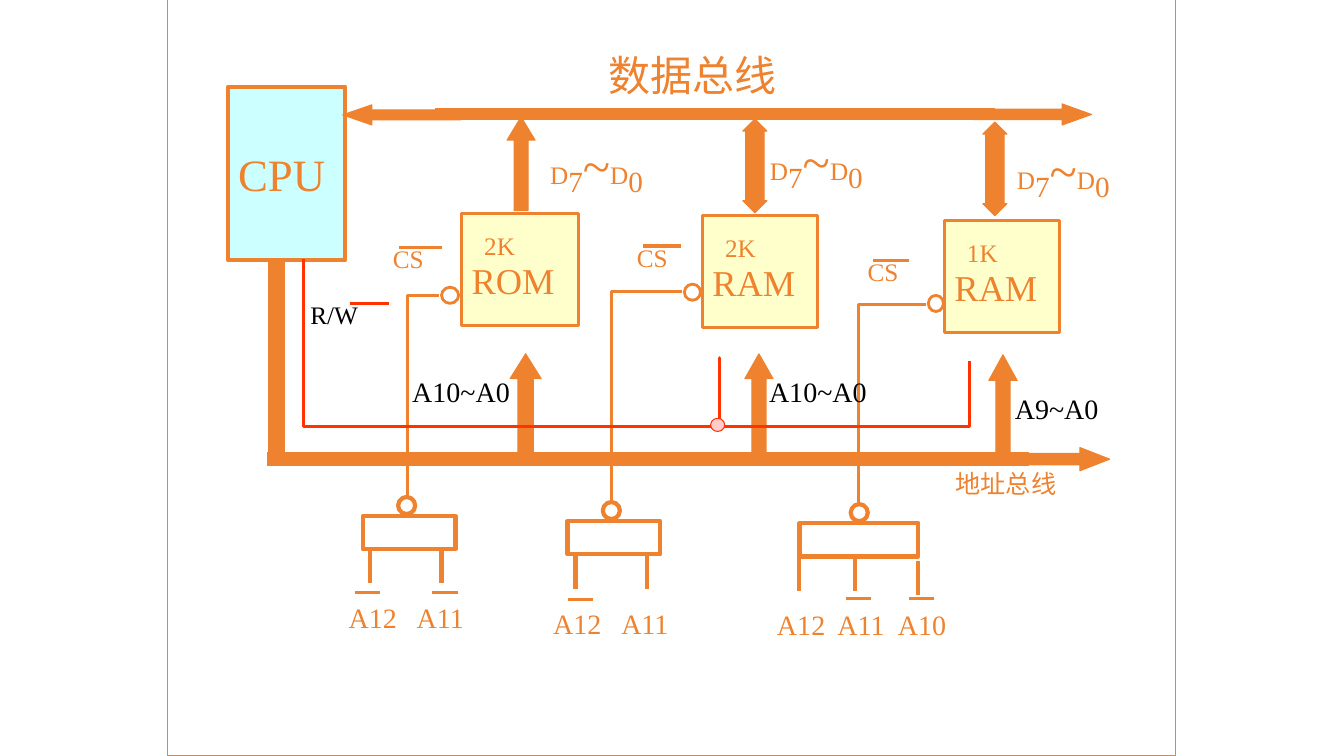
from dataclasses import dataclass

from lxml.etree import SubElement
from pptx import Presentation
from pptx.dml.color import RGBColor
from pptx.enum.shapes import MSO_CONNECTOR as Connector, MSO_SHAPE as Preset
from pptx.enum.text import MSO_ANCHOR as Anchor, PP_ALIGN as Align
from pptx.oxml.ns import qn
from pptx.util import Pt


@dataclass(frozen=True)
class Theme:
    font: str = "Times New Roman"
    bus: str = "EE822F"
    control: str = "FF3300"
    ink: str = "000000"
    paper: str = "FFFFFF"
    cpu: str = "CCFFFF"
    memory: str = "FFFFCC"
    joint: str = "FFCCCC"
    cpu_size: int = 32
    heading_size: int = 30
    kind_size: int = 26
    address_size: int = 20
    small_size: int = 18
    data_size: int = 36
    hairline: float = 0.75
    chip_line: float = 2
    signal_line: float = 2.25
    thick_line: float = 3


THEME = Theme()

CHIPS = [
    dict(capacity="2K", kind="ROM", box=(329.8, 152.6, 83.5, 80),
         data_arrow=(Preset.UP_ARROW, (362.2, 83.5, 20, 67), 0.83),
         data_label=(385.9, 92.2),
         address_arrow=((364.3, 252.7, 22.3, 72), 0.8),
         address="A10~A0", address_label=(287.3, 264.2, 85, 31.7),
         bubble=(315.4, 205.2, 12.2, 11.5),
         select_wire=[(290.9, 356.4), (290.9, 211), (313.9, 211)],
         select_label=(273.6, 170.6), select_bar=(285.1, 177.1, 30.3)),
    dict(capacity="2K", kind="RAM", box=(501.8, 154, 82, 80),
         data_arrow=(Preset.UP_DOWN_ARROW, (530.6, 85, 17.3, 67), 0.76),
         data_label=(542.9, 89.3),
         address_arrow=((532, 252.7, 20.2, 70.6), 0.88),
         address="A10~A0", address_label=(542.2, 264.2, 85, 31.7),
         bubble=(488.9, 203, 11.5, 11.5),
         select_wire=[(437, 358.6), (437, 208.1), (487.4, 208.1)],
         select_label=(447.8, 169.2), select_bar=(459.4, 175.7, 27.3)),
    dict(capacity="1K", kind="RAM", box=(674.6, 157.7, 82, 80),
         data_arrow=(Preset.UP_DOWN_ARROW, (702, 87.1, 17.3, 67), 0.76),
         data_label=(719.3, 95.8),
         address_arrow=((706.3, 253.4, 20.2, 73.4), 0.91),
         address="A9~A0", address_label=(717.8, 275.8, 77, 31.7),
         bubble=(663.1, 211, 10.8, 11.5),
         select_wire=[(613.4, 359.3), (613.4, 217.4), (661.7, 217.4)],
         select_label=(612.7, 179.3), select_bar=(623.5, 185.8, 25.9)),
]

DECODERS = [
    dict(inputs=["A12", "A11"], gate=(259.2, 368.6, 66.2), bubble_left=284.4,
         pins=[(264.2, 0), (315.4, 0)], label=(241.9, 425.5, 108), tab=48.6,
         bars=[253.4, 308.9], bar_top=423.4),
    dict(inputs=["A12", "A11"], gate=(405.4, 372.2, 66.2), bubble_left=430.6,
         pins=[(411.1, 0), (462.2, 0)], label=(388.1, 429.8, 108), tab=48.6,
         bars=[405.4], bar_top=428.4),
    dict(inputs=["A12", "A11", "A10"], gate=(571, 373.7, 85), bubble_left=607.7,
         pins=[(571, 0), (610.6, 0), (655.9, 2.9)], label=(547.9, 430.6, 147.6), tab=43.2,
         bars=[604.1, 649.4], bar_top=427.7),
]
GATE_HEIGHT, BUBBLE_SIZE, BUBBLE_RISE = 23.8, 12.2, 13.6
PIN_OFFSET, PIN_LENGTH, BAR_LENGTH = 24.4, 23.8, 18

DATA_BUS = [
    (Preset.RIGHT_ARROW, (695.5, 74.2, 84.2, 15.1), 1.39),
    (Preset.RECTANGLE, (311, 77.8, 399.6, 7.9), None),
    (Preset.LEFT_ARROW, (244.8, 74.9, 84.2, 14.4), 1.45),
]
ADDRESS_BUS = [
    (Preset.RECTANGLE, (191.5, 185.8, 11.5, 141), None),
    (Preset.RIGHT_ARROW, (708.5, 319.7, 84.2, 16.6), 1.28),
    (Preset.RECTANGLE, (190.8, 323.3, 543.6, 9.4), None),
]
READ_WRITE_WIRE = [(216.7, 185), (216.7, 304.6), (514.1, 304.6), (514.1, 255.6),
                   (514.1, 304.6), (692.6, 304.6), (692.6, 257.8)]
DATA_RUNS = [("D", THEME.small_size, 0), ("7", THEME.data_size, -16), ("~", THEME.data_size, 0),
             ("D", THEME.small_size, 0), ("0", THEME.data_size, -16)]

presentation = Presentation()
presentation.slide_width, presentation.slide_height = Pt(960), Pt(540)
slide = presentation.slides.add_slide(presentation.slide_layouts[6])
shapes = slide.shapes


def lengths(values):
    return [Pt(value) for value in values]


def style(shape, fill, line, width):
    shape.shadow.inherit = False
    if fill:
        shape.fill.solid()
        shape.fill.fore_color.rgb = RGBColor.from_string(fill)
    else:
        shape.fill.background()
    shape.line.color.rgb = RGBColor.from_string(line)
    shape.line.width = Pt(width)
    return shape


def add_preset(preset, box, fill=None, line=THEME.bus, width=THEME.hairline, head=None):
    shape = style(shapes.add_shape(preset, *lengths(box)), fill, line, width)
    if head:
        shape.adjustments[0], shape.adjustments[1] = 0.5, head
    return shape


def add_wire(points, color=THEME.bus):
    start, *rest = [lengths(point) for point in points]
    builder = shapes.build_freeform(*start)
    builder.add_line_segments(rest, close=False)
    style(builder.convert_to_shape(), None, color, THEME.signal_line)


def add_line(left, top, across=0, down=0, color=THEME.bus, width=THEME.signal_line):
    ends = lengths((left, top, left + across, top + down))
    connector = shapes.add_connector(Connector.STRAIGHT, *ends)
    connector.line.color.rgb = RGBColor.from_string(color)
    connector.line.width = Pt(width)
    SubElement(connector._element.spPr, qn("a:effectLst"))


def write(paragraph, text, size=THEME.small_size, color=THEME.bus, baseline=0,
          spacing=None, indent=0, tabs=()):
    paragraph.alignment = Align.LEFT
    if spacing:
        paragraph.line_spacing = spacing
    properties = paragraph._p.get_or_add_pPr()
    if indent:
        properties.set("marL", str(Pt(indent)))
    if tabs:
        tab_list = SubElement(properties, qn("a:tabLst"))
        for tab in tabs:
            SubElement(tab_list, qn("a:tab"), pos=str(Pt(tab)), algn="l")
    run = paragraph.add_run()
    run.text = text
    run.font.name = THEME.font
    run.font.size = Pt(size)
    run.font.color.rgb = RGBColor.from_string(color)
    if baseline:
        run._r.get_or_add_rPr().set("baseline", str(baseline * 1000))


def add_label(box, text=None, wrap=True, **text_format):
    frame = shapes.add_textbox(*lengths(box)).text_frame
    frame.word_wrap = wrap
    if text:
        write(frame.paragraphs[0], text, **text_format)
    return frame.paragraphs[0]


add_preset(Preset.RECTANGLE, (120, 0, 720, 540), THEME.paper)
cpu = add_preset(Preset.RECTANGLE, (163, 62, 83.5, 124), THEME.cpu, width=THEME.thick_line)
cpu.text_frame.vertical_anchor = Anchor.MIDDLE
write(cpu.text_frame.paragraphs[0], "CPU", size=THEME.cpu_size)
add_label((675.4, 331, 130, 29), "地址总线")
add_label((427.7, 31.7, 137, 43), "数据总线", size=THEME.heading_size)

for preset, box, head in DATA_BUS + ADDRESS_BUS:
    add_preset(preset, box, THEME.bus, head=head)

for chip in CHIPS:
    memory = add_preset(Preset.RECTANGLE, chip["box"], THEME.memory, width=THEME.chip_line)
    frame = memory.text_frame
    frame.vertical_anchor = Anchor.TOP
    write(frame.paragraphs[0], chip["capacity"], spacing=1.4, indent=9)
    write(frame.add_paragraph(), chip["kind"], size=THEME.kind_size, spacing=0.95)
    preset, box, head = chip["data_arrow"]
    add_preset(preset, box, THEME.bus, head=head)
    data_label = add_label((*chip["data_label"], 116, 50))
    for text, size, baseline in DATA_RUNS:
        write(data_label, text, size=size, baseline=baseline)
    box, head = chip["address_arrow"]
    add_preset(Preset.UP_ARROW, box, THEME.bus, head=head)
    add_preset(Preset.OVAL, chip["bubble"], width=THEME.chip_line)
    add_wire(chip["select_wire"])
    add_label((*chip["select_label"], 70, 29), "CS")
    add_line(*chip["select_bar"])

add_wire(READ_WRITE_WIRE, THEME.control)
add_preset(Preset.OVAL, (507.6, 298.8, 10.1, 9.4), THEME.joint, THEME.control)
add_label((214.6, 210.2, 48.2, 29), "R/W", wrap=False, color=THEME.ink)
add_line(249.8, 216.7, across=28.1, color=THEME.control)

for chip in CHIPS:
    add_label(chip["address_label"], chip["address"], size=THEME.address_size, color=THEME.ink)

for decoder in DECODERS:
    left, top, width = decoder["gate"]
    add_preset(Preset.RECTANGLE, (left, top, width, GATE_HEIGHT), width=THEME.thick_line)
    bubble = (decoder["bubble_left"], top - BUBBLE_RISE, BUBBLE_SIZE, BUBBLE_SIZE)
    add_preset(Preset.OVAL, bubble, width=THEME.thick_line)
    for pin, drop in decoder["pins"]:
        add_line(pin, top + PIN_OFFSET + drop, down=PIN_LENGTH, width=THEME.thick_line)
    inputs = decoder["inputs"]
    tabs = [decoder["tab"] * step for step in range(1, len(inputs))]
    add_label((*decoder["label"], 31.7), "\t".join(inputs), size=THEME.address_size, tabs=tabs)
    for bar in decoder["bars"]:
        add_line(bar, decoder["bar_top"], across=BAR_LENGTH)

presentation.save("out.pptx")
